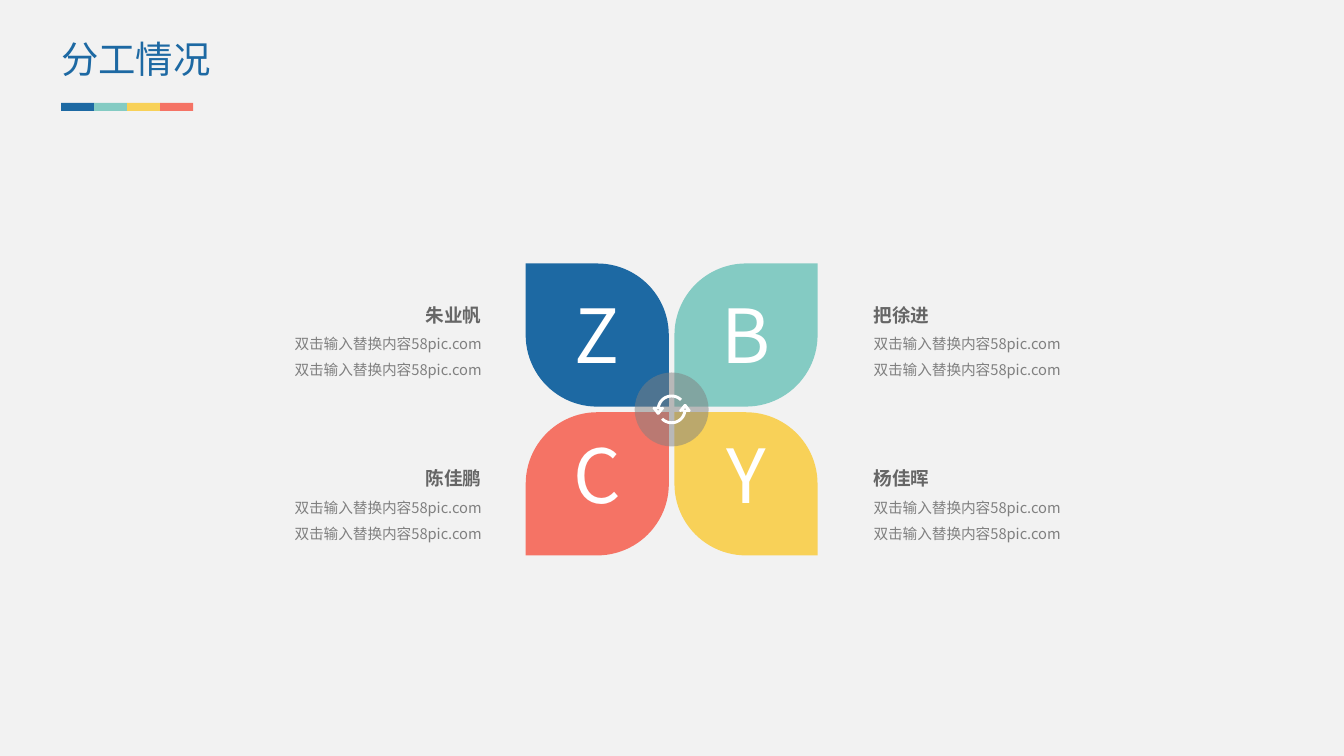
import math
import pptx
import pptx.util
import pptx.dml.color
import pptx.enum.shapes
import pptx.enum.text
import pptx.oxml.ns
import lxml.etree

Pt = pptx.util.Pt
SHAPE = pptx.enum.shapes.MSO_SHAPE
ALIGN = pptx.enum.text.PP_ALIGN
ANCHOR = pptx.enum.text.MSO_ANCHOR
FONT = "Noto Sans CJK SC"
BLUE, TEAL, YELLOW, RED = "1D69A3", "84CBC3", "F8D158", "F57365"
DETAIL = "双击输入替换内容58pic.com"


def rgb(value):
    return pptx.dml.color.RGBColor.from_string(value)


def sub(parent, tag, **attrs):
    return lxml.etree.SubElement(parent, pptx.oxml.ns.qn(tag), **attrs)


def paint(sp, color, alpha=None):
    sp.shadow.inherit = False
    sp.fill.solid()
    sp.fill.fore_color.rgb = rgb(color)
    sp.line.fill.background()
    if alpha is not None:
        clr = sp.fill._xPr.find(".//" + pptx.oxml.ns.qn("a:srgbClr"))
        sub(clr, "a:alpha", val=str(alpha * 1000))


def add_block(s, kind, x, y, w, h, color, alpha=None):
    sp = s.shapes.add_shape(kind, Pt(x), Pt(y), Pt(w), Pt(h))
    paint(sp, color, alpha)
    return sp


def set_frame(tf):
    tf.margin_left = tf.margin_right = tf.margin_top = tf.margin_bottom = 0
    tf.word_wrap = True
    tf.auto_size = pptx.enum.text.MSO_AUTO_SIZE.NONE
    tf.vertical_anchor = ANCHOR.TOP


def write(p, text, size=10.5, color="808080", bold=False, align=ALIGN.LEFT, spacing=1.0):
    p.alignment = align
    p.line_spacing = spacing
    r = p.add_run()
    r.text = text
    r.font.size = Pt(size)
    r.font.bold = bold
    r.font.color.rgb = rgb(color)
    r.font.name = FONT
    sub(r._r.get_or_add_rPr(), "a:ea", typeface=FONT)


def add_frame(s, x, y, w, h):
    tf = s.shapes.add_textbox(Pt(x), Pt(y), Pt(w), Pt(h)).text_frame
    set_frame(tf)
    return tf


def add_title(s, x, y, w, h, text):
    sp = s.shapes.title
    sp.left, sp.top, sp.width, sp.height = Pt(x), Pt(y), Pt(w), Pt(h)
    set_frame(sp.text_frame)
    write(sp.text_frame.paragraphs[0], text, size=26.7, color=BLUE, spacing=0.9)
    bar_w = 23.6
    for i, color in enumerate((BLUE, TEAL, YELLOW, RED)):
        add_block(s, SHAPE.RECTANGLE, x + i * bar_w, y + 44, bar_w, 5.7, color)


def add_cycle_icon(s, cx, cy):
    def arc(radius, angles):
        return [(radius * math.cos(math.radians(a)), radius * math.sin(math.radians(a)))
                for a in angles]

    arrow = arc(10.6, range(10, 136, 5)) + arc(8.5, range(135, 9, -5))
    arrow += [(5.9, 1.8), (5.4, 0.6), (9, -3.8), (10.2, -3.8), (13.6, 0.6), (13.1, 1.8)]
    hole = [(9.6, -1.1), (8.6, 0.4), (10.6, 0.4)]
    fb = None
    for sign in (1, -1):
        for outline in (arrow, hole):
            pts = [(Pt(cx + sign * x), Pt(cy + sign * y)) for x, y in outline]
            if fb is None:
                fb = s.shapes.build_freeform(*pts[0])
            else:
                fb.move_to(*pts[0])
            fb.add_line_segments(pts[1:], close=True)
    paint(fb.convert_to_shape(), "FFFFFF")


def add_petals(s, x, y, size, petals):
    gap, hub, letter_w, letter_h = 4, 52.8, 36, 64.8
    petal = (size - gap) / 2
    for i, (letter, color) in enumerate(petals):
        row, col = divmod(i, 2)
        px, py = x + col * (petal + gap), y + row * (petal + gap)
        sp = add_block(s, SHAPE.ROUND_2_DIAG_RECTANGLE, px, py, petal, petal, color)
        sp.adjustments[0], sp.adjustments[1] = (0, 0.5) if row == col else (0.5, 0)
        tf = add_frame(s, px + (petal - letter_w) / 2, py + (11.8 if row else 18),
                       letter_w, letter_h)
        write(tf.paragraphs[0], letter, size=53.3, color="FFFFFF", align=ALIGN.CENTER)
    cx, cy = x + size / 2, y + size / 2
    add_block(s, SHAPE.OVAL, cx - hub / 2, cy - hub / 2, hub, hub, "808080", alpha=50)
    add_cycle_icon(s, cx, cy)


def add_member(s, x, y, w, h, name, align):
    tf = add_frame(s, x, y, w, h)
    write(tf.paragraphs[0], name, size=13.3, color="666666", bold=True, align=align, spacing=1.2)
    for _ in range(2):
        write(tf.add_paragraph(), DETAIL, align=align, spacing=1.5)


def main():
    prs = pptx.Presentation()
    prs.slide_width, prs.slide_height = Pt(960), Pt(540)
    s = prs.slides.add_slide(prs.slide_layouts[5])
    s.background.fill.solid()
    s.background.fill.fore_color.rgb = rgb("F2F2F2")
    add_title(s, 43.6, 29.5, 291.6, 32.4, "分工情况")
    add_petals(s, 375.5, 188.2, 208.5,
               [("Z", BLUE), ("B", TEAL), ("C", RED), ("Y", YELLOW)])
    for i, name in enumerate(("朱业帆", "把徐进", "陈佳鹏", "杨佳晖")):
        row, col = divmod(i, 2)
        add_member(s, 147.6 + col * 476.4, 213.8 + row * 116.8, 196.4, 57.6, name,
                   ALIGN.LEFT if col else ALIGN.RIGHT)
    prs.save("out.pptx")


if __name__ == "__main__":
    main()
